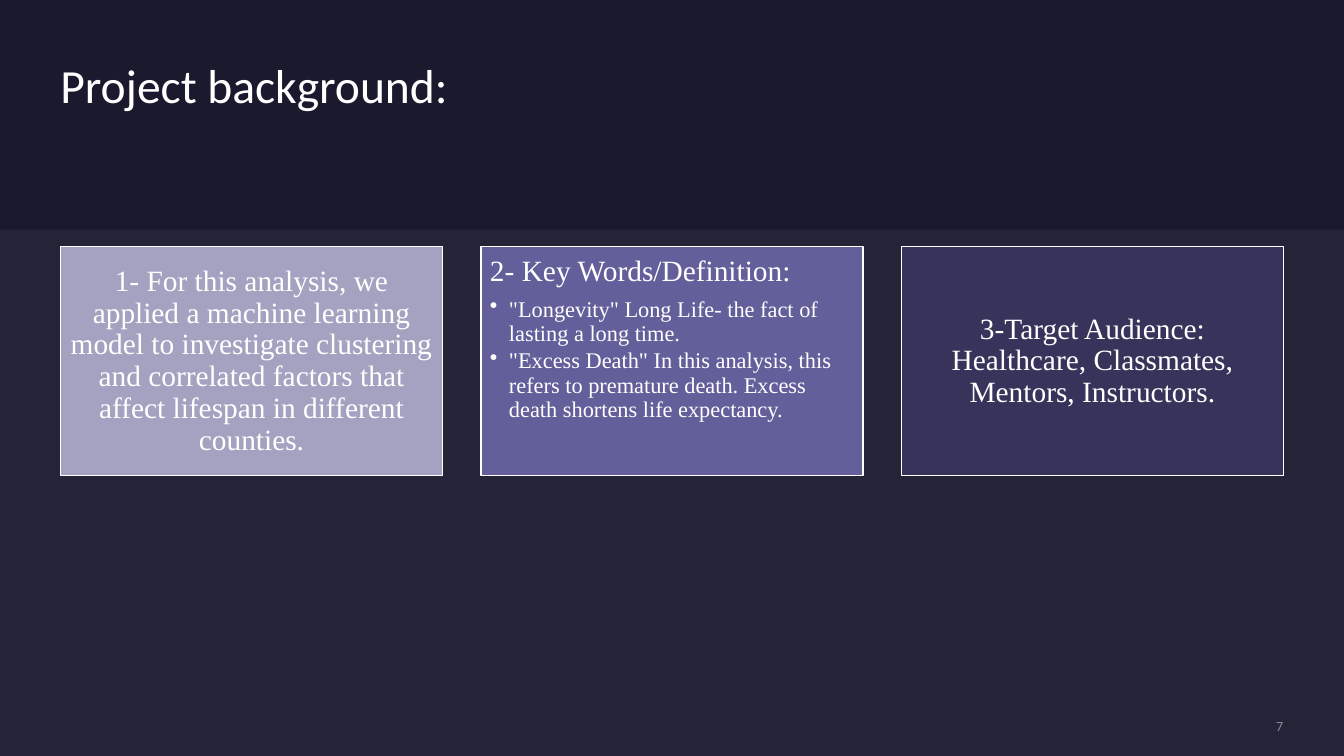
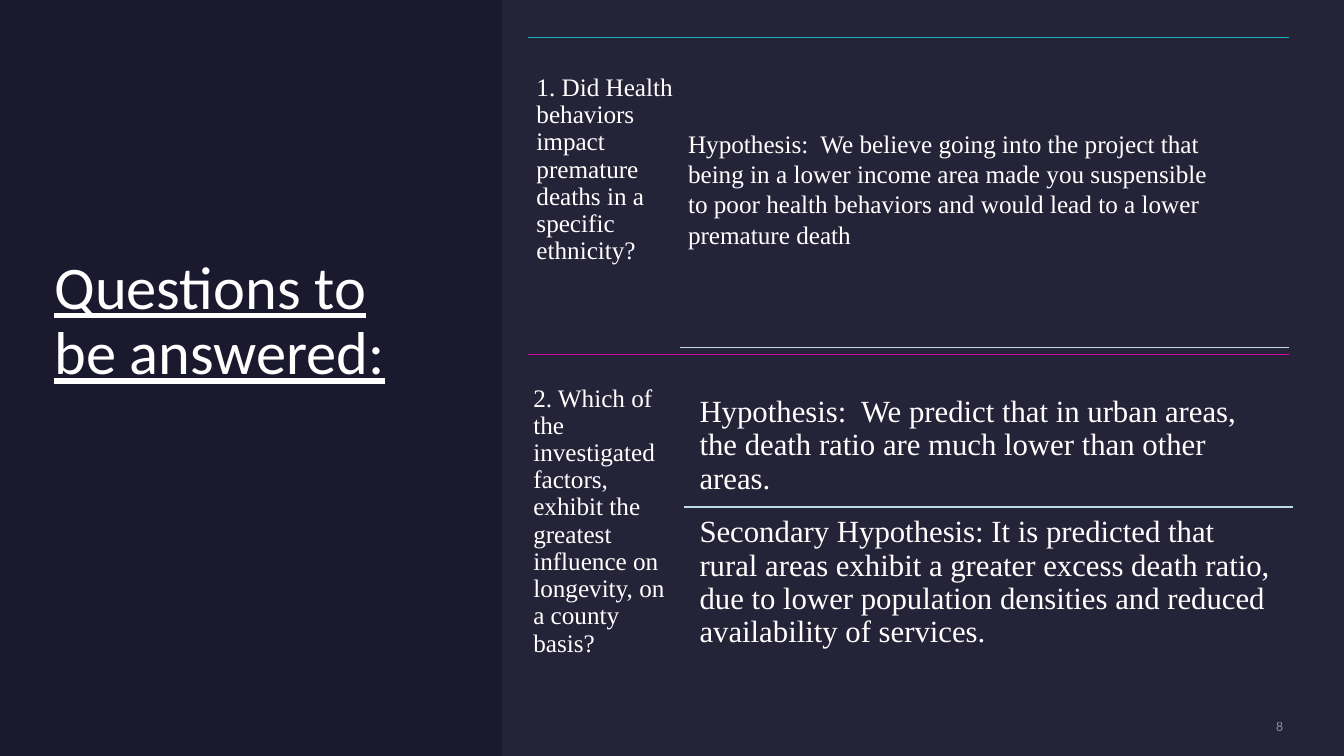
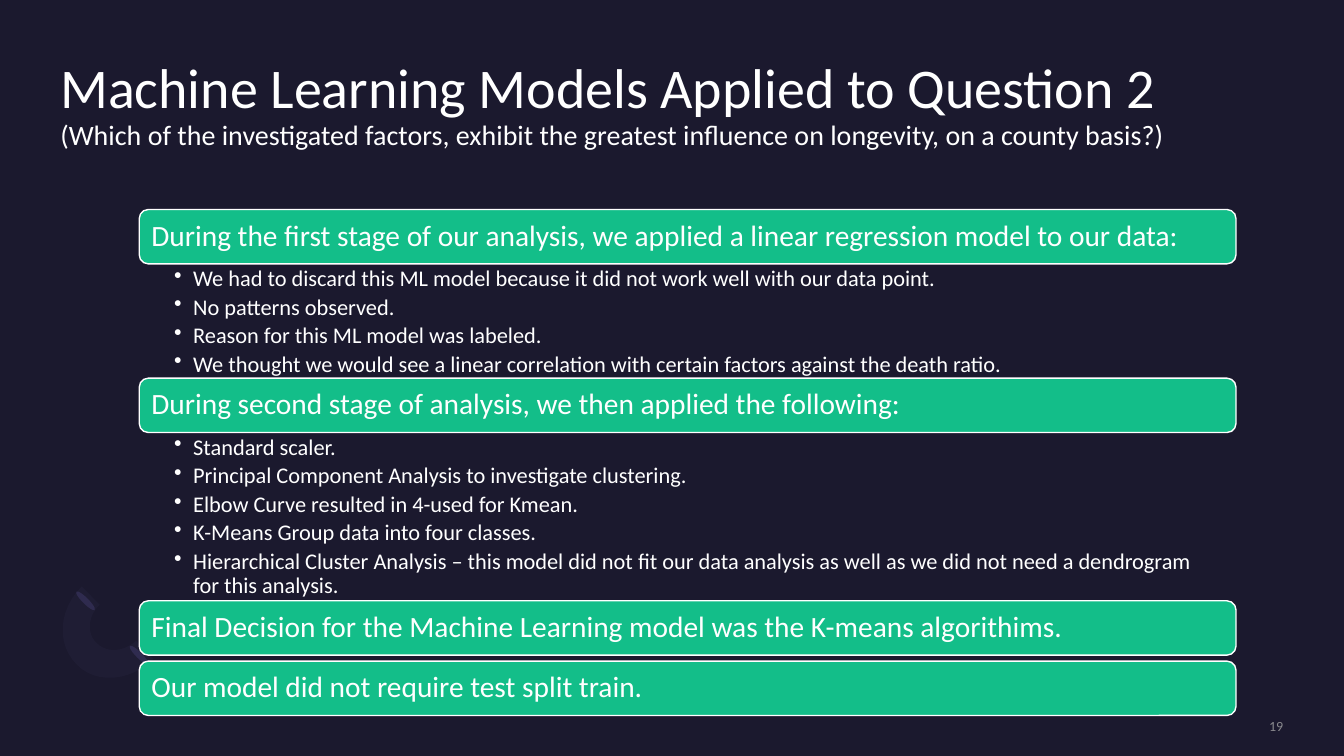
from lxml.etree import SubElement
from pptx import Presentation
from pptx.dml.color import RGBColor
from pptx.enum.shapes import MSO_CONNECTOR, MSO_SHAPE
from pptx.enum.text import MSO_ANCHOR, MSO_AUTO_SIZE, PP_ALIGN
from pptx.oxml.ns import qn
from pptx.util import Cm, Pt

SLIDE_WIDTH, SLIDE_HEIGHT = 33.87, 19.05
MARGIN = 1.52
NAVY, WHITE, PALE, GREY = "1B192E", "FFFFFF", "E4E3F0", "A6A6A6"
GREEN, AQUA, ICE, MAGENTA = "13BE89", "12B1BF", "BDDDE2", "D40AA8"
DECOR_DARK, DECOR_LIGHT = "2C284A", "7771B2"
SANS, SERIF = "Calibri", "Times New Roman"


def paint(color_fill, color, opacity=100):
    color_fill.solid()
    color_fill.fore_color.rgb = RGBColor.from_string(color)
    if opacity < 100:
        tint = color_fill._xPr.find(qn("a:solidFill"))[0]
        SubElement(tint, qn("a:alpha"), val=str(opacity * 1000))


def style_runs(para, size, font, color=WHITE, opacity=100):
    for span in para.runs:
        span.font.size = Pt(size)
        span.font.name = font
        paint(span.font.fill, color, opacity)


def add_bullet(para):
    properties = para._p.get_or_add_pPr()
    properties.set("marL", str(Cm(0.48)))
    properties.set("indent", str(-Cm(0.48)))
    SubElement(properties, qn("a:buChar"), char="•")


def set_frame(box, anchor, insets):
    frame = box.text_frame
    frame.word_wrap = True
    frame.auto_size = MSO_AUTO_SIZE.NONE
    frame.vertical_anchor = anchor
    sides = ("margin_left", "margin_top", "margin_right", "margin_bottom")
    for side, inset in zip(sides, insets):
        setattr(frame, side, Cm(inset))
    return frame


def write(box, texts, size, font, anchor=MSO_ANCHOR.TOP, align=PP_ALIGN.LEFT,
          insets=(0.23,) * 4, spacing=0.9, after=0.35, bulleted=False,
          color=WHITE, opacity=100):
    frame = box.text_frame
    set_frame(box, anchor, insets)
    for text in texts:
        para = frame.paragraphs[0] if not frame.text else frame.add_paragraph()
        para.text = text
        if bulleted:
            add_bullet(para)
        para.alignment = align
        para.line_spacing = spacing
        para.space_after = Pt(round(size * after, 1))
        style_runs(para, size, font, color, opacity)


def add_text(page, place, texts, size, font, **options):
    box = page.shapes.add_textbox(*map(Cm, place))
    write(box, texts, size, font, **options)


def add_panel(page, place, color, kind=MSO_SHAPE.RECTANGLE, opacity=100, outline=False):
    panel = page.shapes.add_shape(kind, *map(Cm, place))
    panel.shadow.inherit = False
    paint(panel.fill, color, opacity)
    if outline:
        paint(panel.line.fill, WHITE)
        panel.line.width = Pt(1)
    else:
        panel.line.fill.background()
    return panel


def add_rule(page, left, right, top, color):
    rule = page.shapes.add_connector(
        MSO_CONNECTOR.STRAIGHT, Cm(left), Cm(top), Cm(right), Cm(top))
    paint(rule.line.fill, color)
    rule.line.width = Pt(1)
    SubElement(rule._element.spPr, qn("a:effectLst"))


def add_page(deck, number):
    page = deck.slides.add_slide(deck.slide_layouts[5])
    paint(page.background.fill, NAVY)
    add_text(page, (27.64, 18.08, 4.7, 0.43), [str(number)], 10, SANS,
             anchor=MSO_ANCHOR.MIDDLE, align=PP_ALIGN.RIGHT, insets=(0,) * 4,
             spacing=1, after=0, color=GREY, opacity=80)
    return page


def set_title(page, place, text, size, anchor=MSO_ANCHOR.TOP):
    title = page.shapes.title
    title.left, title.top, title.width, title.height = map(Cm, place)
    write(title, [text], size, SANS, anchor=anchor, insets=(0,) * 4, after=0)
    return title.text_frame.paragraphs[0].runs


def curve(start, first, second, end, steps=12):
    for step in range(1, steps + 1):
        t = step / steps
        u = 1 - t
        yield tuple(Cm(u**3 * a + 3 * u * u * t * b + 3 * u * t * t * c + t**3 * d)
                    for a, b, c, d in zip(start, first, second, end))


def add_ring_decoration(page):
    for left, top in ((3.43, 16.18), (2.08, 14.81)):
        cap = add_panel(page, (left, top, 0.15, 0.66), DECOR_DARK, MSO_SHAPE.OVAL)
        cap.rotation = 135
    curves = (
        ((1.93, 16.74), (1.42, 16.23), (1.47, 15.37), (2.06, 14.78)),
        ((2.51, 15.24), (2.21, 15.52), (2.18, 15.98), (2.44, 16.21)),
        ((2.44, 16.21), (2.69, 16.46), (3.12, 16.43), (3.43, 16.15)),
        ((3.86, 16.61), (3.3, 17.17), (2.41, 17.25), (1.93, 16.74)),
    )
    points = []
    for controls in curves:
        points.append(tuple(map(Cm, controls[0])))
        points.extend(curve(*controls))
    builder = page.shapes.build_freeform(*points[0])
    builder.add_line_segments(points[1:], close=True)
    ring = builder.convert_to_shape()
    ring.shadow.inherit = False
    paint(ring.fill, DECOR_LIGHT, 5)
    ring.line.fill.background()


def build_background(deck):
    page = add_page(deck, 7)
    add_panel(page, (0, 5.79, SLIDE_WIDTH, SLIDE_HEIGHT - 5.79), PALE, opacity=5)
    set_title(page, (MARGIN, 1.57, 20.29, 2.7), "Project background:", 34)
    cards = (
        ("A3A3C1", "1- For this analysis, we applied a machine learning model to investigate "
                   "clustering and correlated factors that affect lifespan in different counties.", ()),
        ("625F9A", "2- Key Words/Definition:", (
            "\"Longevity\" Long Life- the fact of lasting a long time.",
            "\"Excess Death\" In this analysis, this refers to premature death. "
            "Excess death shortens life expectancy.")),
        ("37335B", "3-Target Audience: Healthcare, Classmates, Mentors, Instructors.", ()),
    )
    gap = 0.96
    width = (SLIDE_WIDTH - 2 * MARGIN - 2 * gap) / 3
    for index, (color, heading, definitions) in enumerate(cards):
        place = (MARGIN + index * (width + gap), 6.22, width, 5.77)
        card = add_panel(page, place, color, outline=True)
        anchor, align = MSO_ANCHOR.MIDDLE, PP_ALIGN.CENTER
        if definitions:
            anchor, align = MSO_ANCHOR.TOP, PP_ALIGN.LEFT
        write(card, [heading], 21, SERIF, anchor=anchor, align=align)
        for definition in definitions:
            para = card.text_frame.add_paragraph()
            para.text = definition
            add_bullet(para)
            para.alignment = PP_ALIGN.LEFT
            para.line_spacing = 0.9
            para.space_after = Pt(2.4)
            style_runs(para, 16, SERIF)


def build_questions(deck):
    page = add_page(deck, 8)
    add_panel(page, (12.65, 0, SLIDE_WIDTH - 12.65, SLIDE_HEIGHT), PALE, opacity=5)
    for span in set_title(page, (1.37, 5.33, 9.02, 5.6), "Questions to be answered:",
                          43.2, MSO_ANCHOR.MIDDLE):
        span.font.underline = True
    for left, right, top, color in (
        (13.31, 32.49, 0.94, AQUA),
        (17.15, 32.49, 8.76, ICE),
        (13.31, 32.49, 8.94, MAGENTA),
        (17.25, 32.59, 12.78, ICE),
    ):
        add_rule(page, left, right, top, color)
    questions = (
        ((13.34, 1.7, 4.14, 7.24),
         "1. Did Health behaviors impact premature deaths in a specific ethnicity?"),
        ((13.26, 9.53, 3.84, 8),
         "2. Which of the investigated factors, exhibit the greatest influence on longevity, "
         "on a county basis?"),
    )
    for place, question in questions:
        add_text(page, place, [question], 18, SERIF, insets=(0.18,) * 4)
    add_text(page, (17.09, 3.1, 14.12, 3.33),
             ["Hypothesis:  We believe going into the project that being in a lower income area "
              "made you suspensible to poor health behaviors and would lead to a lower "
              "premature death"],
             18, SERIF, insets=(0.25, 0.13, 0.25, 0.13), spacing=1, after=0)
    predictions = (
        (9.75, "Hypothesis:  We predict that in urban areas, the death ratio are much lower "
               "than other areas."),
        (12.78, "Secondary Hypothesis: It is predicted that rural areas exhibit a greater excess "
                "death ratio, due to lower population densities and reduced availability of "
                "services."),
    )
    for top, prediction in predictions:
        add_text(page, (17.4, top, 15.06, 3.71), [prediction], 22, SERIF)


def build_models(deck):
    page = add_page(deck, 19)
    add_ring_decoration(page)
    spans = set_title(page, (MARGIN, 1.52, 30.81, 3.71),
                      "Machine Learning Models Applied to Question 2\v"
                      "(Which of the investigated factors, exhibit the greatest influence on "
                      "longevity, on a county basis?)", 40)
    spans[1].font.size = Pt(20)
    stages = (
        ("During the first stage of our analysis, we applied a linear regression model to our data:",
         2.88, (
             "We had to discard this ML model because it did not work well with our data point.",
             "No patterns observed.",
             "Reason for this ML model was labeled.",
             "We thought we would see a linear correlation with certain factors against the "
             "death ratio.")),
        ("During second stage of analysis, we then applied the following:", 4.24, (
            "Standard scaler.",
            "Principal Component Analysis to investigate clustering.",
            "Elbow Curve resulted in 4-used for Kmean.",
            "K-Means Group data into four classes.",
            "Hierarchical Cluster Analysis – this model did not fit our data analysis as well as "
            "we did not need a dendrogram for this analysis.")),
        ("Final Decision for the Machine Learning model was the K-means algorithims.", 0.15, ()),
        ("Our model did not require test split train.", 0, ()),
    )
    left, top, width, bar_height = 3.51, 5.28, 27.64, 1.37
    for heading, space_below, details in stages:
        bar = add_panel(page, (left, top, width, bar_height), GREEN,
                        MSO_SHAPE.ROUNDED_RECTANGLE, outline=True)
        write(bar, [heading], 21, SANS, anchor=MSO_ANCHOR.MIDDLE, after=0,
              insets=(0.24, 0.2, 0.24, 0.2))
        top += bar_height
        if details:
            add_text(page, (left, top, width, space_below), details, 16, SANS,
                     insets=(0.88, 0.08, 0.41, 0.08), after=0.2, bulleted=True)
        top += space_below


def main():
    deck = Presentation()
    deck.slide_width, deck.slide_height = Cm(SLIDE_WIDTH), Cm(SLIDE_HEIGHT)
    build_background(deck)
    build_questions(deck)
    build_models(deck)
    deck.save("out.pptx")


if __name__ == "__main__":
    main()
